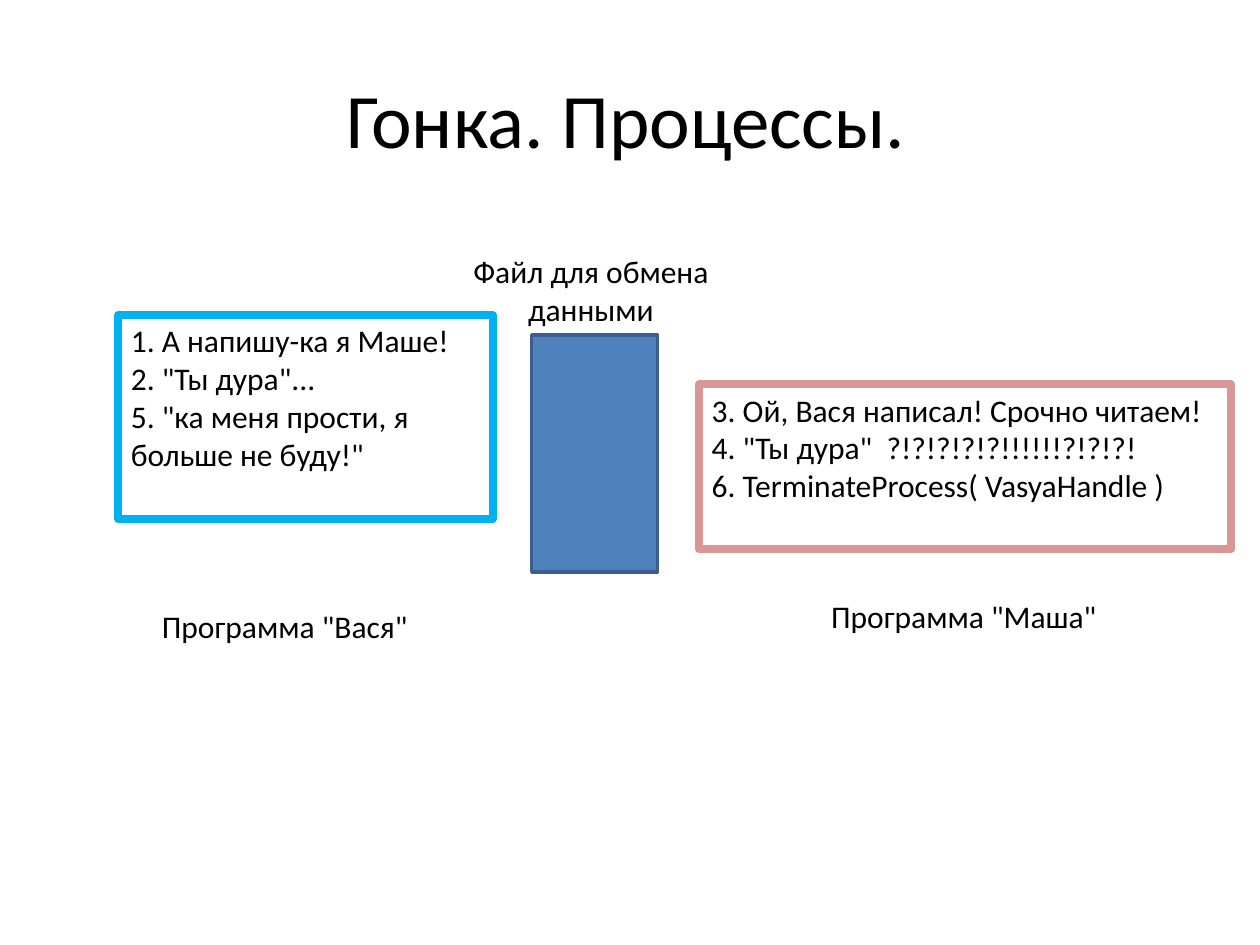
from pptx import Presentation
from pptx.dml.color import RGBColor
from pptx.enum.shapes import MSO_SHAPE as SHAPE
from pptx.enum.text import MSO_ANCHOR as ANCHOR, PP_ALIGN as ALIGN
from pptx.util import Inches, Pt


def rgb(color):
    return RGBColor.from_string(color)


def write(sp, lines, size, align, anchor):
    tf = sp.text_frame
    tf.word_wrap = True
    tf.vertical_anchor = anchor
    font = {"name": "Calibri", "size": Pt(size)}
    for i, line in enumerate(lines):
        p = tf.add_paragraph() if i else tf.paragraphs[0]
        p.alignment = align
        r = p.add_run()
        r.text = line
        for key, value in font.items():
            setattr(r.font, key, value)
        r.font.color.rgb = rgb("000000")


prs = Presentation()
prs.slide_width, prs.slide_height = Inches(10), Inches(7.5)
s = prs.slides.add_slide(prs.slide_layouts[5])

# Title
title = s.shapes.title
title.left, title.top = Inches(0.47), Inches(0.31)
title.width, title.height = Inches(9), Inches(1.25)
write(title, ["Гонка. Процессы."], 44, ALIGN.CENTER, ANCHOR.MIDDLE)

# Shared file
shared_file = s.shapes.add_shape(
    SHAPE.RECTANGLE, Inches(4.22), Inches(2.66), Inches(1), Inches(1.88))
shared_file.shadow.inherit = False
shared_file.fill.solid()
shared_file.fill.fore_color.rgb = rgb("4F81BD")
shared_file.line.color.rgb = rgb("3A5F8C")
shared_file.line.width = Pt(2)

# Captions of the file and the two programs
captions = [
    (3.52, 1.95, 0.71, "Файл для обмена данными"),
    (1.09, 4.77, 0.4, 'Программа "Вася"'),
    (6.48, 4.69, 0.4, 'Программа "Маша"'),
]
for left, top, height, text in captions:
    sp = s.shapes.add_textbox(
        Inches(left), Inches(top), Inches(2.34), Inches(height))
    write(sp, [text], 18, ALIGN.CENTER, ANCHOR.TOP)

# Steps of each program, numbered in order of execution
programs = [
    (0.94, 2.5, 2.97, 1.62, "00B0F0", [
        "1. А напишу-ка я Маше!",
        '2. "Ты дура"...',
        '5. "ка меня прости, я больше не буду!"']),
    (5.55, 3.05, 4.22, 1.31, "D99694", [
        "3. Ой, Вася написал! Срочно читаем!",
        '4. "Ты дура"  ?!?!?!?!?!!!!!!?!?!?!',
        "6. TerminateProcess( VasyaHandle )"]),
]
for left, top, width, height, color, steps in programs:
    sp = s.shapes.add_textbox(
        Inches(left), Inches(top), Inches(width), Inches(height))
    sp.line.color.rgb = rgb(color)
    sp.line.width = Pt(4.5)
    write(sp, steps, 18, ALIGN.LEFT, ANCHOR.TOP)

prs.save("out.pptx")
